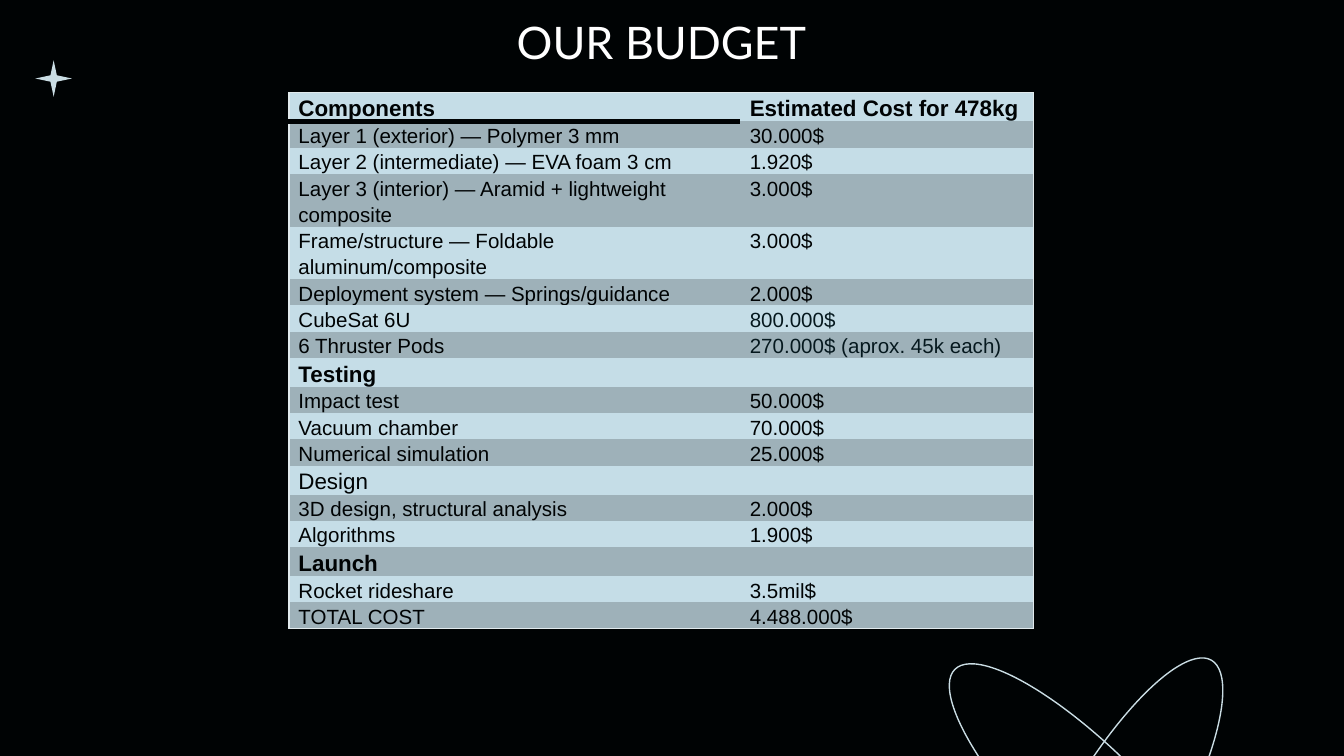
from dataclasses import dataclass

import lxml.etree
import pptx
import pptx.dml.color
import pptx.enum.shapes
import pptx.enum.text
import pptx.oxml.ns
import pptx.util

Cm = pptx.util.Cm
Pt = pptx.util.Pt
qn = pptx.oxml.ns.qn
SHAPE = pptx.enum.shapes.MSO_SHAPE


@dataclass(frozen=True)
class Theme:
    ink: str = "000304"
    soft_ink: str = "05181E"
    white: str = "FFFFFF"
    accent: str = "CADDE4"
    row: str = "C5DDE7"
    band: str = "9EB1B9"
    border: str = "E1EAED"
    title_font: str = "Lato"
    body_font: str = "Arial"
    title_size: int = 24
    head_size: int = 12
    body_size: int = 11
    hairline: float = 0.75
    head_rule: float = 3


THEME = Theme()
NO_GRID_STYLE = "{2D5ABB26-0587-4C30-8999-92F81FD0307C}"
COLUMN_WIDTHS = (8.53, 5.54)
# Row kind: (type size, bold, height in cm)
ROW_KINDS = {
    "head": (THEME.head_size, True, 0.54),
    "plain_head": (THEME.head_size, False, 0.54),
    "item": (THEME.body_size, False, 0.49),
    "long_item": (THEME.body_size, False, 0.99),
}
BUDGET = [
    ("head", "Components", "Estimated Cost for 478kg"),
    ("item", "Layer 1 (exterior) — Polymer 3 mm", "30.000$"),
    ("item", "Layer 2 (intermediate) — EVA foam 3 cm", "1.920$"),
    ("long_item", "Layer 3 (interior) — Aramid + lightweight composite", "3.000$"),
    ("long_item", "Frame/structure — Foldable aluminum/composite", "3.000$"),
    ("item", "Deployment system — Springs/guidance", "2.000$"),
    ("item", "CubeSat 6U", "800.000$"),
    ("item", "6 Thruster Pods", "270.000$ (aprox. 45k each)"),
    ("head", "Testing", ""),
    ("item", "Impact test", "50.000$"),
    ("item", "Vacuum chamber", "70.000$"),
    ("item", "Numerical simulation", "25.000$"),
    ("plain_head", "Design", ""),
    ("item", "3D design, structural analysis", "2.000$"),
    ("item", "Algorithms", "1.900$"),
    ("head", "Launch", ""),
    ("item", "Rocket rideshare", "3.5mil$"),
    ("item", "TOTAL COST", "4.488.000$"),
]
SOFT_COSTS = ("800.000$", "270.000$ (aprox. 45k each)")


def rgb(value):
    return pptx.dml.color.RGBColor.from_string(value)


def write(tf, text, font, size, color, bold=False, spacing=1.0, align=None):
    p = tf.paragraphs[0]
    p.line_spacing = spacing
    p.alignment = align
    if not text:
        # An empty cell still takes its height from the end mark.
        end = lxml.etree.SubElement(p._p, qn("a:endParaRPr"))
        end.set("sz", str(size * 100))
        return
    r = p.add_run()
    r.text = text
    r.font.name = font
    r.font.size = Pt(size)
    r.font.bold = bold
    r.font.color.rgb = rgb(color)


def set_borders(cell, borders):
    """Draw the sides in borders, a dict of side to (colour, points); hide the rest."""
    tc_pr = cell._tc.get_or_add_tcPr()
    for index, side in enumerate("LRTB"):
        ln = lxml.etree.Element(qn(f"a:ln{side}"))
        if side in borders:
            color, width = borders[side]
            ln.set("w", str(int(Pt(width))))
            fill = lxml.etree.SubElement(ln, qn("a:solidFill"))
            lxml.etree.SubElement(fill, qn("a:srgbClr")).set("val", color)
        else:
            lxml.etree.SubElement(ln, qn("a:noFill"))
        tc_pr.insert(index, ln)


def add_title(slide, left, top, width, height):
    sp = slide.shapes.title
    sp.left, sp.top, sp.width, sp.height = Cm(left), Cm(top), Cm(width), Cm(height)
    tf = sp.text_frame
    tf.word_wrap = False
    tf.vertical_anchor = pptx.enum.text.MSO_ANCHOR.MIDDLE
    write(tf, "OUR BUDGET", THEME.title_font, THEME.title_size, THEME.white,
          align=pptx.enum.text.PP_ALIGN.CENTER)


def add_star(slide, left, top, size):
    sp = slide.shapes.add_shape(SHAPE.STAR_4_POINT, Cm(left), Cm(top), Cm(size), Cm(size))
    sp.adjustments[0] = 0.125
    sp.shadow.inherit = False
    sp.fill.solid()
    sp.fill.fore_color.rgb = rgb(THEME.accent)
    sp.line.fill.background()


def add_orbits(slide, left, top, width, height):
    group = slide.shapes.add_group_shape()
    for dx, dy, rotation in ((0, 0, 315), (0.43, 0.41, 30)):
        sp = group.shapes.add_shape(SHAPE.OVAL, Cm(left + dx), Cm(top + dy),
                                    Cm(width), Cm(height))
        sp.rotation = rotation
        sp.shadow.inherit = False
        sp.fill.background()
        sp.line.color.rgb = rgb(THEME.accent)
        sp.line.width = Pt(THEME.hairline)


def cell_borders(row, col):
    edge = (THEME.border, THEME.hairline)
    borders = {"L" if col == 0 else "R": edge}
    if row == 0:
        borders["T"] = edge
        if col == 0:
            borders["B"] = (THEME.ink, THEME.head_rule)
    elif row == 1 and col == 0:
        borders["T"] = (THEME.ink, THEME.head_rule)
    if row == len(BUDGET) - 1:
        borders["B"] = edge
    return borders


def add_budget_table(slide, left, top):
    height = sum(ROW_KINDS[kind][2] for kind, *_ in BUDGET)
    frame = slide.shapes.add_table(len(BUDGET), len(COLUMN_WIDTHS), Cm(left), Cm(top),
                                   Cm(sum(COLUMN_WIDTHS)), Cm(height))
    table = frame.table
    table.first_row = table.horz_banding = False
    table._tbl.tblPr.find(qn("a:tableStyleId")).text = NO_GRID_STYLE
    for column, width in zip(table.columns, COLUMN_WIDTHS):
        column.width = Cm(width)
    for row, (kind, *texts) in enumerate(BUDGET):
        size, bold, row_height = ROW_KINDS[kind]
        table.rows[row].height = Cm(row_height)
        for col, text in enumerate(texts):
            cell = table.cell(row, col)
            cell.margin_left = cell.margin_right = Cm(0.18)
            cell.margin_top = cell.margin_bottom = 0
            cell.fill.solid()
            cell.fill.fore_color.rgb = rgb(THEME.band if row % 2 else THEME.row)
            color = THEME.soft_ink if text in SOFT_COSTS else THEME.ink
            write(cell.text_frame, text, THEME.body_font, size, color, bold, spacing=1.15)
            set_borders(cell, cell_borders(row, col))


def main():
    prs = pptx.Presentation()
    prs.slide_width, prs.slide_height = Cm(25.4), Cm(14.29)
    slide = prs.slides.add_slide(prs.slide_layouts[5])
    slide.background.fill.solid()
    slide.background.fill.fore_color.rgb = rgb(THEME.ink)
    add_orbits(slide, 19.58, 11.58, 2.11, 7.32)
    add_star(slide, 0.67, 1.14, 0.69)
    add_budget_table(slide, 5.46, 1.75)
    add_title(slide, 9.5, 0.15, 6, 1.27)
    prs.save("out.pptx")


if __name__ == "__main__":
    main()
